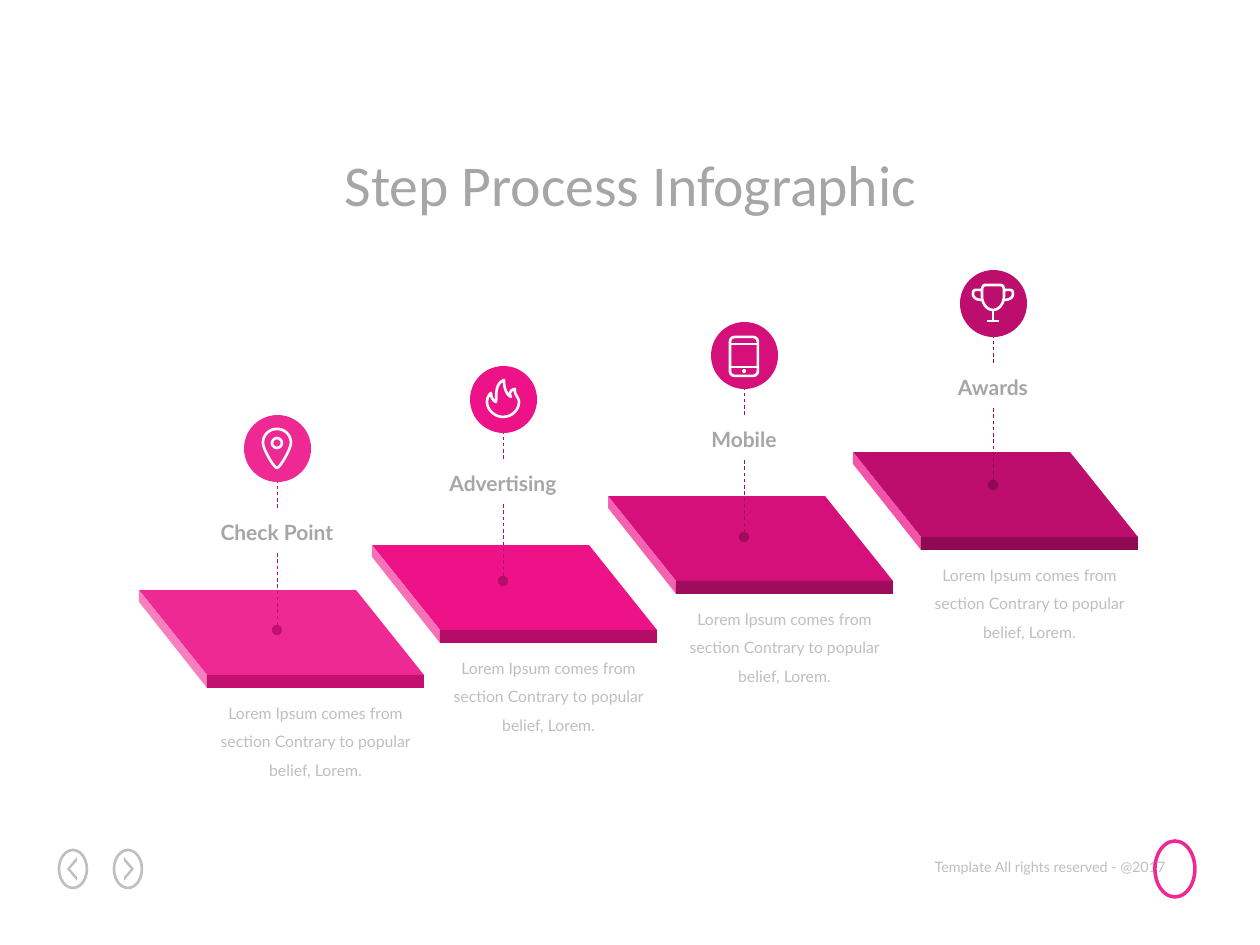
import pptx
import pptx.dml.color
import pptx.enum.dml
import pptx.enum.shapes
import pptx.enum.text
import pptx.oxml.ns
import pptx.util
from lxml import etree

PX = 914400 / 126
SHAPE = pptx.enum.shapes.MSO_SHAPE
ALIGN = pptx.enum.text.PP_ALIGN
WHITE, LIGHT_GREY, GREY, PINK = "FFFFFF", "BFBFBF", "A6A6A6", "EF2994"
ICON_PT = 1.5
DESCRIPTION = "Lorem Ipsum comes from section Contrary to popular belief, Lorem."

# Label, tile corner, centre and height of the marker dot, top, side and dark colours
STEPS = [
    ("Check Point", (139, 590), (277, 630), PINK, "F57FBF", "C30F70"),
    ("Advertising", (372, 545), (503, 581), "EE1289", "F571B8", "B30D67"),
    ("Mobile", (608, 496), (744, 537), "D6107B", "F363B1", "A00C5C"),
    ("Awards", (853, 452), (993, 485), "BE0E6D", "F254AA", "8F0A52"),
]

# Curved outlines: a start point, then cubic segments of three points
PIN = [(0, -20), (-8, -20), (-14, -14), (-14, -6), (-14, 0), (-3, 19), (0, 19),
       (3, 19), (14, 0), (14, -6), (14, -14), (8, -20), (0, -20)]
FLAME = [(12, -11), (7, -10), (6, -6), (8, -3), (3, -6), (1, -12), (1, -20),
         (-9, -16), (-6, -3), (-7, 2), (-10, 1), (-12, -3), (-12, -7),
         (-14, -5), (-16, -2), (-16, 2), (-16, 10), (-8, 17), (0, 17),
         (9, 17), (16, 10), (16, 2), (16, -3), (11, -5), (12, -11)]
CUP_BOWL = [(-11, -8), (-11, 0), (-6, 6), (0, 6), (6, 6), (11, 0), (11, -8)]
CUP_RIM = [(11, -15), (10, -18), (8, -19), (-8, -19), (-10, -18), (-11, -15)]
HANDLE = [(-11, -14), (-18, -14), (-20, -15), (-20, -10),
          (-20, -6), (-16, -4), (-11, -4)]
CHEVRON = [(4, -12), (4, -8), (-3, 0), (4, 8), (4, 12), (-6, 0)]


def px(length):
    return pptx.util.Emu(round(length * PX))


def rgb(code):
    return pptx.dml.color.RGBColor.from_string(code)


def paint(shape, fill=None, line=None, width=ICON_PT):
    shape.shadow.inherit = False
    if fill:
        shape.fill.solid()
        shape.fill.fore_color.rgb = rgb(fill)
    else:
        shape.fill.background()
    if line:
        shape.line.color.rgb = rgb(line)
        shape.line.width = pptx.util.Pt(width)
    else:
        shape.line.fill.background()
    return shape


def add_preset(slide, kind, x, y, w, h, **colours):
    shape = slide.shapes.add_shape(kind, px(x), px(y), px(w), px(h))
    return paint(shape, **colours)


def add_outline(slide, origin, points, closed=True, **colours):
    moved = [(px(origin[0] + x), px(origin[1] + y)) for x, y in points]
    builder = slide.shapes.build_freeform(*moved[0])
    builder.add_line_segments(moved[1:], close=closed)
    return paint(builder.convert_to_shape(), **colours)


def add_line(slide, start, end, colour, width=ICON_PT, dashed=False, dot=False):
    line = slide.shapes.add_connector(
        pptx.enum.shapes.MSO_CONNECTOR.STRAIGHT, *map(px, (*start, *end)))
    line.line.color.rgb = rgb(colour)
    line.line.width = pptx.util.Pt(width)
    if dashed:
        line.line.dash_style = pptx.enum.dml.MSO_LINE.DASH
    qn = pptx.oxml.ns.qn
    if dot:
        etree.SubElement(line.line._get_or_add_ln(), qn("a:headEnd"), type="oval")
    etree.SubElement(line._element.spPr, qn("a:effectLst"))


def write(frame, text, size, font, colour, align, bold=False, wrap=False, spacing=None):
    frame.word_wrap = wrap
    frame.auto_size = pptx.enum.text.MSO_AUTO_SIZE.NONE
    paragraph = frame.paragraphs[0]
    paragraph.alignment = align
    if spacing:
        paragraph.line_spacing = spacing
    run = paragraph.add_run()
    run.text = text
    run.font.size = pptx.util.Pt(size)
    run.font.name = font
    run.font.bold = bold
    run.font.color.rgb = rgb(colour)


def add_text(slide, x, y, w, h, *content, **options):
    box = slide.shapes.add_textbox(px(x), px(y), px(w), px(h))
    write(box.text_frame, *content, **options)


def curve(points, pieces=10):
    smooth = [points[0]]
    for i in range(0, len(points) - 1, 3):
        a, b, c, d = points[i:i + 4]
        for t in (n / pieces for n in range(1, pieces + 1)):
            s = 1 - t
            smooth.append(tuple(
                s**3 * a[k] + 3 * s * s * t * b[k] + 3 * s * t * t * c[k] + t**3 * d[k]
                for k in (0, 1)))
    return smooth


def mirror(points):
    return [(-x, y) for x, y in points]


def add_pin_icon(slide, x, y):
    add_outline(slide, (x, y), curve(PIN), line=WHITE)
    add_preset(slide, SHAPE.OVAL, x - 5, y - 11, 10, 10, line=WHITE)


def add_flame_icon(slide, x, y):
    add_outline(slide, (x, y), curve(FLAME), line=WHITE)


def add_phone_icon(slide, x, y):
    add_preset(slide, SHAPE.ROUNDED_RECTANGLE, x - 14, y - 19, 28, 39, line=WHITE)
    for bar in (-12, 11):
        add_line(slide, (x - 14, y + bar), (x + 14, y + bar), WHITE)
    add_preset(slide, SHAPE.OVAL, x - 2, y + 13, 4, 4, fill=WHITE)


def add_trophy_icon(slide, x, y):
    add_outline(slide, (x, y), curve(CUP_BOWL) + CUP_RIM, line=WHITE)
    for handle in (HANDLE, mirror(HANDLE)):
        add_outline(slide, (x, y), curve(handle), closed=False, line=WHITE)
    add_line(slide, (x, y + 6), (x, y + 17), WHITE)
    add_line(slide, (x - 6, y + 17), (x + 6, y + 17), WHITE)


def add_tile(slide, left, top, face, side, front):
    add_outline(slide, (left, top), [(68, 85), (285, 85), (217, 0), (0, 0)], fill=face)
    add_outline(slide, (left, top), [(0, 0), (0, 12), (68, 98), (68, 85)], fill=side)
    add_preset(slide, SHAPE.RECTANGLE, left + 68, top + 85, 217, 13, fill=front)


def add_marker(slide, x, y, label, face, dark, add_icon):
    add_preset(slide, SHAPE.OVAL, x - 33, y - 215, 67, 67, fill=face)
    add_line(slide, (x, y), (x, y - 78), dark, 0.5, dashed=True, dot=True)
    add_line(slide, (x, y - 122), (x, y - 148), dark, 0.5, dashed=True)
    add_text(slide, x - 70, y - 117, 140, 38, label, 12, "Lato", GREY,
             ALIGN.CENTER, bold=True)
    add_icon(slide, x, y - 181)


def add_footer(slide):
    for x, chevron in ((73, CHEVRON), (128, mirror(CHEVRON))):
        add_preset(slide, SHAPE.OVAL, x - 14, 850, 28, 38, line=LIGHT_GREY)
        add_outline(slide, (x, 869), chevron, fill=LIGHT_GREY)
    add_text(slide, 914, 852, 264, 30, "Template All rights reserved - @2017",
             8.2, "Lato", LIGHT_GREY, ALIGN.RIGHT)
    # Plain ring in the emblem's place
    add_preset(slide, SHAPE.OVAL, 1155, 841, 40, 56, line=PINK, width=2)


def main():
    deck = pptx.Presentation()
    deck.slide_width, deck.slide_height = px(1260), px(945)
    slide = deck.slides.add_slide(deck.slide_layouts[5])
    add_footer(slide)

    # Title
    title = slide.shapes.title
    title.left, title.top, title.width, title.height = map(px, (301, 142, 659, 83))
    write(title.text_frame, "Step Process Infographic", 33, "Calibri", GREY, ALIGN.CENTER)

    # Staircase of tiles with their descriptions
    for _, (left, top), _, face, side, dark in STEPS:
        add_tile(slide, left, top, face, side, dark)
        add_text(slide, left + 68, top + 98, 217, 98, DESCRIPTION, 9, "Lato",
                 LIGHT_GREY, ALIGN.CENTER, wrap=True, spacing=1.5)

    # Markers standing on the tiles
    icons = (add_pin_icon, add_flame_icon, add_phone_icon, add_trophy_icon)
    for (label, _, (x, y), face, _, dark), add_icon in zip(STEPS, icons):
        add_marker(slide, x, y, label, face, dark, add_icon)

    deck.save("out.pptx")


if __name__ == "__main__":
    main()
